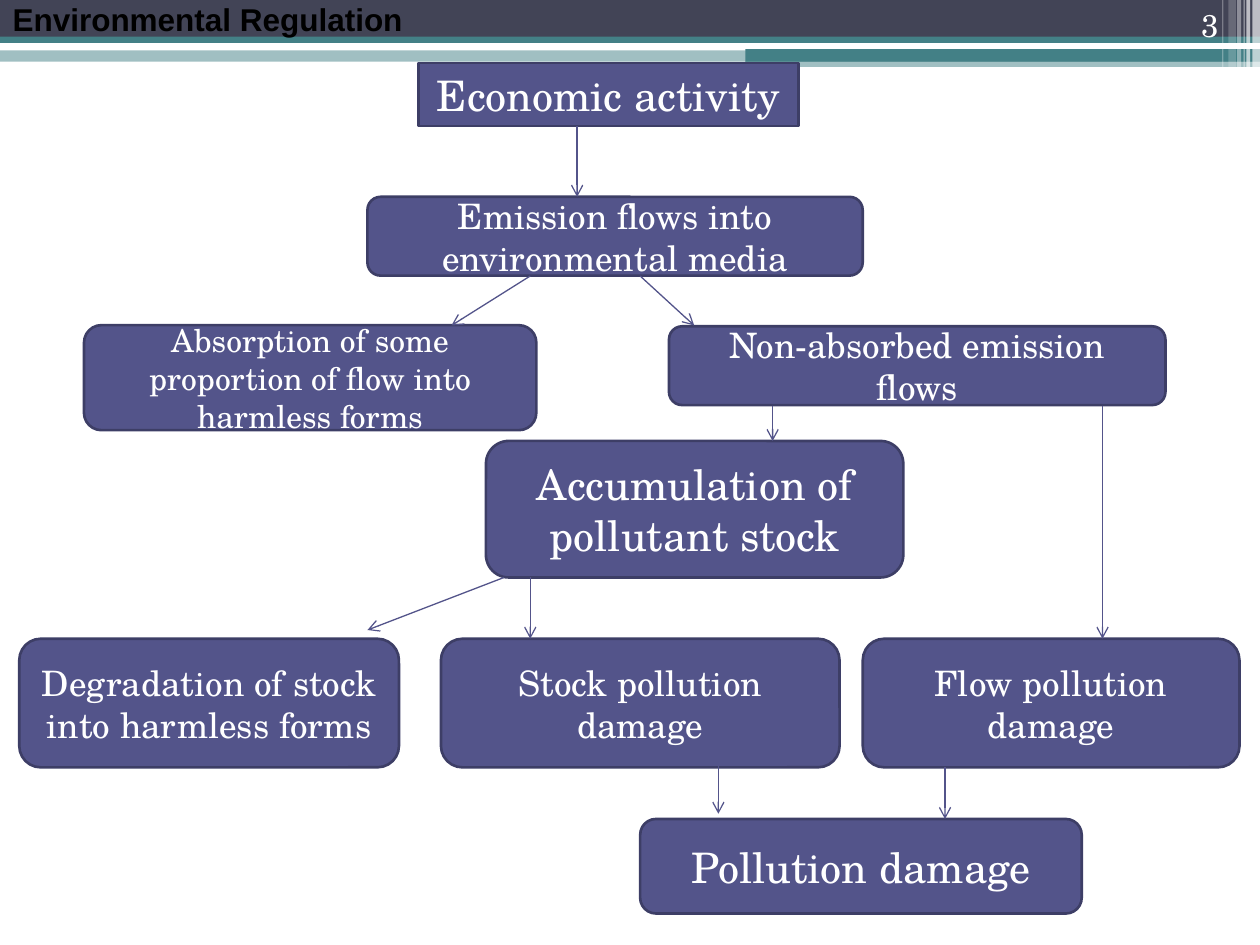
from typing import NamedTuple

from lxml.etree import SubElement
from pptx import Presentation
from pptx.dml.color import RGBColor
from pptx.enum.shapes import MSO_CONNECTOR, MSO_SHAPE
from pptx.enum.text import MSO_ANCHOR, PP_ALIGN
from pptx.oxml.ns import qn
from pptx.util import Pt

SERIF = "TeX Gyre Schola"
WHITE, TEAL, DARK = "FFFFFF", "438086", "424456"
FILL, EDGE = "53548A", "3D3E66"


class Bar(NamedTuple):
    left: float
    top: float
    width: float
    height: float
    color: str
    alpha: int = 100
    kind: MSO_SHAPE = MSO_SHAPE.RECTANGLE


class Node(NamedTuple):
    text: str
    left: float
    top: float
    width: float
    height: float
    size: int = 20
    kind: MSO_SHAPE = MSO_SHAPE.ROUNDED_RECTANGLE


class Arrow(NamedTuple):
    x1: float
    y1: float
    x2: float
    y2: float


ROW, DEEP = 365, 73.5  # top and height of the damage row

BARS = [
    Bar(0, 28.8, 720, 6.5, TEAL, 50),
    Bar(0, 0, 720, 24.4, DARK),
    Bar(0, 20.9, 720, 3.6, TEAL),
    Bar(426, 28.1, 294, 7.2, TEAL),
    Bar(426, 34.8, 294, 3.5, TEAL, 50),
    Bar(580.3, 46.1, 126, 2.9, WHITE, 100, MSO_SHAPE.ROUNDED_RECTANGLE),
    Bar(715.7, 0, 4.3, 49, WHITE, 65),
    Bar(712.2, 0, 2.2, 49, WHITE, 65),
    Bar(710.6, 0, 0.7, 49, WHITE, 60),
    Bar(707, 0, 2.2, 49, WHITE, 40),
    Bar(702, 0, 4.3, 46, WHITE, 20),
    Bar(698.4, 0, 0.7, 46, WHITE, 30),
]

NODES = [
    Node("Economic activity", 239, 36, 217.5, 36, 24, MSO_SHAPE.RECTANGLE),
    Node("Emission flows into environmental media", 210, 112.5, 283, 45),
    Node("Absorption of some proportion of flow into harmless forms",
         48, 185.8, 258.5, 60, 18),
    Node("Non-absorbed emission flows", 382.3, 186.5, 283.7, 45),
    Node("Accumulation of pollutant stock", 277.7, 252, 238.5, 78, 24),
    Node("Flow pollution damage", 493, ROW, 215.3, DEEP),
    Node("Stock pollution damage", 252, ROW, 227.8, DEEP),
    Node("Degradation of stock into harmless forms", 11, ROW, 217, DEEP),
    Node("Pollution damage", 365.8, 468, 252.3, 54, 24),
]

ARROWS = [
    Arrow(329.8, 72, 329.8, 112.5),
    Arrow(303, 330, 303, ROW),
    Arrow(540, 438.5, 540, 468),
    Arrow(441.5, 231.8, 441.5, 252),
    Arrow(365.8, 157.7, 396.7, 186),
    Arrow(303, 157.7, 258, 186),
    Arrow(630, 231.8, 630, ROW),
    Arrow(410.5, 435, 410.5, 465),
    Arrow(288, 330, 210, 360),
]


def paint(item, color: str, alpha: int = 100) -> None:
    """Give a fill, line or font colour format a solid colour."""
    item.rgb = RGBColor.from_string(color)
    if alpha < 100:
        tone = item._xFill.find(qn("a:srgbClr"))
        SubElement(tone, qn("a:alpha"), val=str(alpha * 1000))


def write(para, text: str, size: int, color: str,
          face: str = SERIF, bold: bool = False) -> None:
    run = para.add_run()
    run.text = text
    font = run.font
    font.size, font.name, font.bold = Pt(size), face, bold
    paint(font.color, color)


def block(slide, item: Bar | Node, color: str, alpha: int = 100):
    """Add a flat filled shape at the place of a bar or node."""
    shape = slide.shapes.add_shape(
        item.kind, Pt(item.left), Pt(item.top), Pt(item.width), Pt(item.height))
    shape.shadow.inherit = False
    shape.fill.solid()
    paint(shape.fill.fore_color, color, alpha)
    return shape


def draw_bar(slide, bar: Bar) -> None:
    block(slide, bar, bar.color, bar.alpha).line.fill.background()


def draw_node(slide, node: Node) -> None:
    shape = block(slide, node, FILL)
    shape.line.width = Pt(1.5)
    paint(shape.line.color, EDGE)
    frame = shape.text_frame
    frame.word_wrap = True
    frame.vertical_anchor = MSO_ANCHOR.MIDDLE
    para = frame.paragraphs[0]
    para.alignment = PP_ALIGN.CENTER
    write(para, node.text, node.size, WHITE)


def draw_arrow(slide, arrow: Arrow) -> None:
    link = slide.shapes.add_connector(
        MSO_CONNECTOR.STRAIGHT, *(Pt(v) for v in arrow))
    link.line.width = Pt(0.75)
    paint(link.line.color, FILL)
    SubElement(link.line._get_or_add_ln(), qn("a:tailEnd"), type="arrow")
    SubElement(link._element.spPr, qn("a:effectLst"))


def draw_title(slide) -> None:
    title = slide.shapes.title
    title.left, title.top = Pt(0), Pt(-3.6)
    title.width, title.height = Pt(252), Pt(29)
    slide.shapes._spTree.append(title._element)  # in front of the bars
    frame = title.text_frame
    frame.word_wrap = False
    frame.vertical_anchor = MSO_ANCHOR.TOP
    para = frame.paragraphs[0]
    para.alignment = PP_ALIGN.LEFT
    write(para, "Environmental Regulation", 18, "000000", "Arial", True)


def draw_number(slide) -> None:
    box = slide.shapes.add_textbox(Pt(643.7), Pt(0), Pt(59.8), Pt(28.8))
    frame = box.text_frame
    frame.word_wrap = True
    frame.vertical_anchor = MSO_ANCHOR.BOTTOM
    para = frame.paragraphs[0]
    para.alignment = PP_ALIGN.RIGHT
    write(para, "3", 18, WHITE)


def main() -> None:
    deck = Presentation()
    deck.slide_width, deck.slide_height = Pt(720), Pt(540)
    slide = deck.slides.add_slide(deck.slide_layouts[5])
    for bar in BARS:
        draw_bar(slide, bar)
    draw_title(slide)
    draw_number(slide)
    for node in NODES:
        draw_node(slide, node)
    for arrow in ARROWS:
        draw_arrow(slide, arrow)
    deck.save("out.pptx")


if __name__ == "__main__":
    main()
